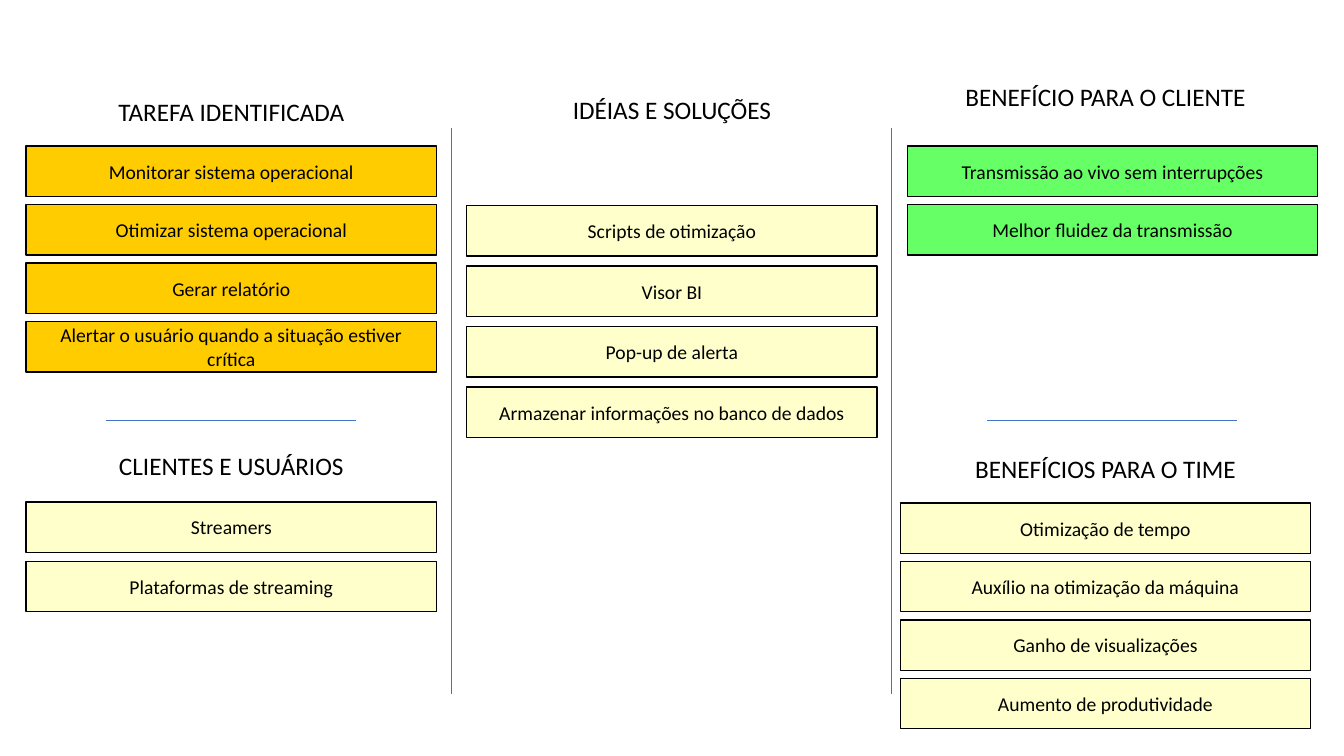
from dataclasses import dataclass

from lxml import etree
from pptx import Presentation
from pptx.dml.color import RGBColor
from pptx.enum import shapes, text
from pptx.oxml.ns import qn
from pptx.util import Inches, Pt


@dataclass(frozen=True)
class Theme:
    font: str = "Calibri"
    ink: str = "000000"
    paper: str = "FFFFFF"
    rule: str = "4472C4"
    task: str = "FFCC00"
    note: str = "FFFFCC"
    client: str = "66FF66"
    heading_size: int = 18
    card_size: int = 14
    border: float = 1
    rule_width: float = 0.5


THEME = Theme()
CARD_WIDTH, HEADING_WIDTH, BOX_HEIGHT = 4.07, 3.03, 0.5


def add_box(page, left, top, width, words, fill, border, size):
    """Bordered rectangle with one centred run of text."""
    box = page.shapes.add_shape(
        shapes.MSO_SHAPE.RECTANGLE,
        Inches(left), Inches(top), Inches(width), Inches(BOX_HEIGHT))
    box.shadow.inherit = False
    box.fill.solid()
    box.fill.fore_color.rgb = RGBColor.from_string(fill)
    box.line.color.rgb = RGBColor.from_string(border)
    box.line.width = Pt(THEME.border)
    frame = box.text_frame
    frame.word_wrap = True
    frame.vertical_anchor = text.MSO_ANCHOR.MIDDLE
    para = frame.paragraphs[0]
    para.alignment = text.PP_ALIGN.CENTER
    span = para.add_run()
    span.text = words
    span.font.name = THEME.font
    span.font.size = Pt(size)
    span.font.color.rgb = RGBColor.from_string(THEME.ink)
    return box


def add_rule(page, x1, y1, x2, y2):
    """Thin divider line without shadow."""
    rule = page.shapes.add_connector(
        shapes.MSO_CONNECTOR.STRAIGHT,
        Inches(x1), Inches(y1), Inches(x2), Inches(y2))
    rule.line.color.rgb = RGBColor.from_string(THEME.rule)
    rule.line.width = Pt(THEME.rule_width)
    etree.SubElement(rule._element.spPr, qn("a:effectLst"))


def add_heading(page, left, top, words, lift=0):
    """Section title; lift raises the text inside its box."""
    box = add_box(page, left, top, HEADING_WIDTH, words,
                  THEME.paper, THEME.paper, THEME.heading_size)
    box.text_frame.margin_bottom = Inches(0.05 + 2 * lift)


def add_cards(page, left, top, pitch, fill, items):
    """Stack of equally spaced cards."""
    for row, words in enumerate(items):
        add_box(page, left, top + row * pitch, CARD_WIDTH, words,
                fill, THEME.ink, THEME.card_size)


def add_dividers(page, top, bottom, middle):
    """Column dividers and the short rules between stacked sections."""
    for x in (4.48, 8.84):
        add_rule(page, x, top, x, bottom)
    for x in (1.05, 9.79):
        add_rule(page, x, middle, x + 2.48, middle)


def add_left_column(page, left):
    """Tasks above, customers and users below."""
    add_heading(page, left + 0.52, 0.86, "TAREFA IDENTIFICADA")
    add_cards(page, left, 1.45, 0.58, THEME.task, [
        "Monitorar sistema operacional",
        "Otimizar sistema operacional",
        "Gerar relatório",
        "Alertar o usuário quando a situação estiver crítica",
    ])
    add_heading(page, left + 0.52, 4.37, "CLIENTES E USUÁRIOS")
    add_cards(page, left, 4.98, 0.59, THEME.note, [
        "Streamers",
        "Plataformas de streaming",
    ])


def add_middle_column(page, left):
    """Ideas and solutions."""
    add_heading(page, left + 0.52, 0.84, "IDÉIAS E SOLUÇÕES")
    add_cards(page, left, 2.04, 0.6, THEME.note, [
        "Scripts de otimização",
        "Visor BI",
        "Pop-up de alerta",
        "Armazenar informações no banco de dados",
    ])


def add_right_column(page, left):
    """Benefits for the client above, for the team below."""
    add_heading(page, left + 0.45, 0.86, "BENEFÍCIO PARA O CLIENTE", lift=0.15)
    add_cards(page, left, 1.45, 0.58, THEME.client, [
        "Transmissão ao vivo sem interrupções",
        "Melhor fluidez da transmissão",
    ])
    add_heading(page, left + 0.45, 4.4, "BENEFÍCIOS PARA O TIME")
    add_cards(page, left - 0.07, 4.99, 0.58, THEME.note, [
        "Otimização de tempo",
        "Auxílio na otimização da máquina",
        "Ganho de visualizações",
        "Aumento de produtividade",
    ])


deck = Presentation()
deck.slide_width, deck.slide_height = Inches(13.33), Inches(7.5)
page = deck.slides.add_slide(deck.slide_layouts[6])
page.background.fill.solid()
page.background.fill.fore_color.rgb = RGBColor.from_string(THEME.paper)

add_dividers(page, 1.27, 6.89, 4.17)
add_left_column(page, 0.26)
add_middle_column(page, 4.63)
add_right_column(page, 9)

deck.save("out.pptx")
